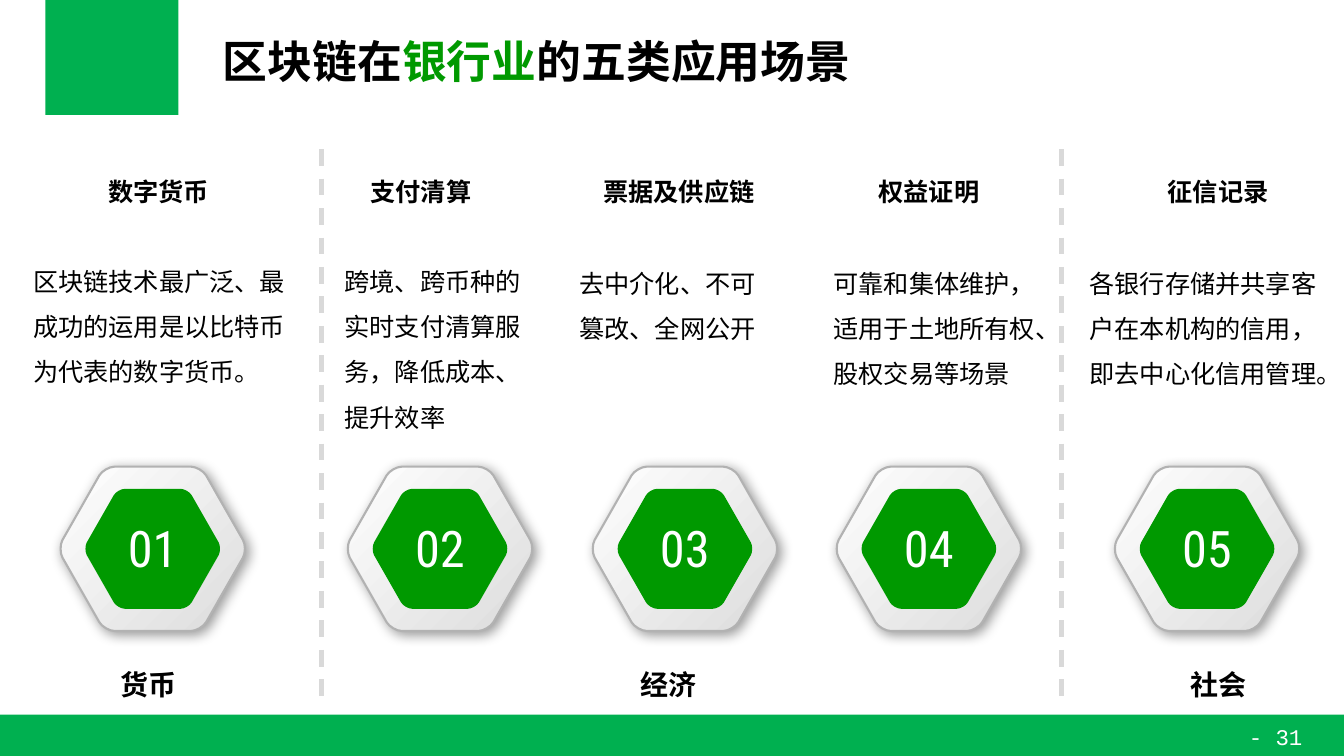
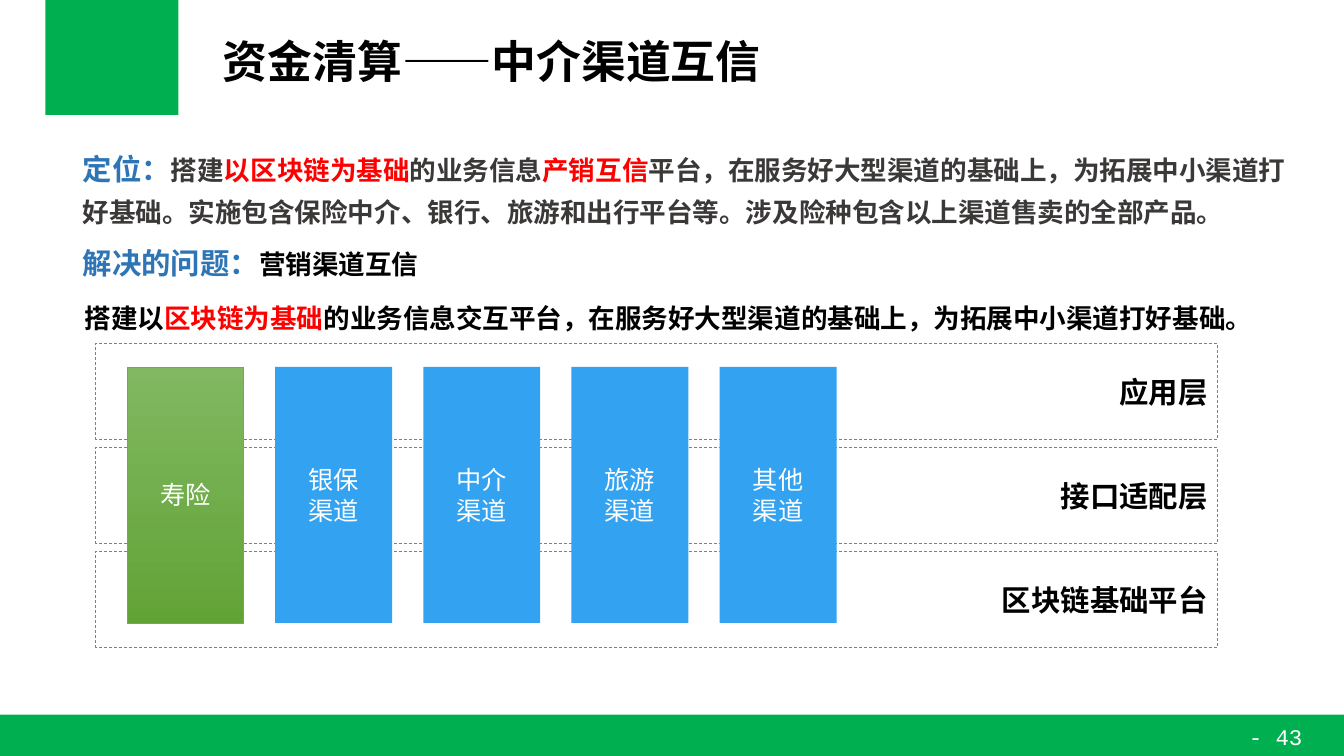
from typing import NamedTuple

from lxml.etree import SubElement
from pptx import Presentation
from pptx.dml.color import RGBColor
from pptx.enum.dml import MSO_LINE
from pptx.enum.shapes import MSO_CONNECTOR, MSO_SHAPE
from pptx.enum.text import MSO_ANCHOR, PP_ALIGN
from pptx.oxml.ns import qn
from pptx.util import Inches, Pt

COLORS = {
    "band": "00B050", "accent": "009900", "white": "FFFFFF", "black": "000000",
    "silver": "DCDCDC", "rim": "B2B2B2", "divider": "D9D9D9",
    "heading": "2E75B6", "body": "3B3838", "red": "FF0000",
    "layer": "808080", "channel": "32A2F1",
    "green_top": "81B861", "green_bottom": "62A336", "green_line": "70AD47",
}
SANS = "Noto Sans CJK SC"
EAST_ASIAN = "Calibri"
SLIDE_WIDTH, SLIDE_HEIGHT = 40 / 3, 7.5
BADGE_WIDTH, BADGE_HEIGHT, BADGE_TOP = 1.83, 1.63, 4.63


class Span(NamedTuple):
    text: str
    color: str = "black"
    size: float = 18
    bold: bool = True


class Box(NamedTuple):
    left: float
    top: float
    width: float
    height: float

    def emu(self) -> list:
        return [Inches(value) for value in self]


class Scenario(NamedTuple):
    number: str
    heading: str
    heading_left: float
    detail: str
    detail_box: Box
    badge_left: float


SCENARIOS = [
    Scenario("01", "数字货币", 0.72, "区块链技术最广泛、最成功的运用是以比特币为代表的数字货币。",
             Box(0.23, 2.44, 2.71, 1.46), 0.6),
    Scenario("02", "支付清算", 3.32, "跨境、跨币种的实时支付清算服务，降低成本、提升效率",
             Box(3.32, 2.44, 1.96, 1.92), 3.45),
    Scenario("03", "票据及供应链", 5.88, "去中介化、不可篡改、全网公开",
             Box(5.65, 2.46, 1.96, 1.01), 5.88),
    Scenario("04", "权益证明", 8.36, "可靠和集体维护，适用于土地所有权、股权交易等场景",
             Box(8.17, 2.46, 2.35, 1.46), 8.3),
    Scenario("05", "征信记录", 11.23, "各银行存储并共享客户在本机构的信用，即去中心化信用管理。",
             Box(10.71, 2.46, 2.53, 1.46), 11.06),
]
FIELDS = [("货币", 0.72), ("经济", 5.88), ("社会", 11.33)]
DIVIDERS = [3.19, 10.53]

STATEMENTS = [
    (Box(0.69, 1.32, 12.25, 1.01), 1.3, [
        Span("定位：", "heading", 21), Span("搭建", "body", 19),
        Span("以区块链为基础", "red", 19), Span("的业务信息", "body", 19),
        Span("产销互信", "red", 19),
        Span("平台，在服务好大型渠道的基础上，为拓展中小渠道打好基础。实施包含保险中介、"
             "银行、旅游和出行平台等。涉及险种包含以上渠道售卖的全部产品。", "body", 19)]),
    (Box(0.69, 2.26, 12.25, 1.07), 1.3, [
        Span("解决的问题：", "heading", 21), Span("营销渠道互信", size=19)]),
    (Box(0.71, 2.77, 12.23, 0.61), 1.5, [
        Span("搭建以", size=19), Span("区块链为基础", "red", 19),
        Span("的业务信息交互平台，在服务好大型渠道的基础上，为拓展中小渠道打好基础。", size=19)]),
]
LAYERS = ["应用层", "接口适配层", "区块链基础平台"]
CHANNELS = [["寿险"], ["银保", "渠道"], ["中介", "渠道"], ["旅游", "渠道"], ["其他", "渠道"]]


def rgb(name: str) -> RGBColor:
    return RGBColor.from_string(COLORS[name])


def write(paragraph, spans: list[Span], font: str, align=PP_ALIGN.LEFT,
          spacing: float = 1.0, east_asian: str = EAST_ASIAN) -> None:
    paragraph.alignment = align
    paragraph.line_spacing = spacing
    for span in spans:
        run = paragraph.add_run()
        run.text = span.text
        run.font.name = font
        run.font.size = Pt(span.size)
        run.font.bold = span.bold
        run.font.color.rgb = rgb(span.color)
        properties = run.font._element
        properties.set("lang", "zh-CN")
        latin = properties.find(qn("a:latin"))
        latin.addnext(properties.makeelement(qn("a:ea"), {"typeface": east_asian}))


def add_text(shapes, box: Box, spans: list[Span], font: str = "Calibri",
             align=PP_ALIGN.LEFT, spacing: float = 1.0, inset: tuple = (0.1, 0.05)) -> None:
    frame = shapes.add_textbox(*box.emu()).text_frame
    frame.word_wrap = True
    frame.margin_left = frame.margin_right = Inches(inset[0])
    frame.margin_top = frame.margin_bottom = Inches(inset[1])
    write(frame.paragraphs[0], spans, font, align, spacing)


def add_rect(slide, box: Box, fill: str | None):
    rect = slide.shapes.add_shape(MSO_SHAPE.RECTANGLE, *box.emu())
    rect.shadow.inherit = False
    if fill:
        rect.fill.solid()
        rect.fill.fore_color.rgb = rgb(fill)
    else:
        rect.fill.background()
    rect.line.fill.background()
    rect.text_frame.vertical_anchor = MSO_ANCHOR.MIDDLE
    return rect


def set_gradient(shape, start: str, end: str, angle: float) -> None:
    shape.fill.gradient()
    shape.fill.gradient_angle = angle
    for stop, color in zip(shape.fill.gradient_stops, (start, end)):
        stop.color.rgb = rgb(color)


def set_shadow(shape) -> None:
    shape.shadow.inherit = False
    effects = shape._element.spPr.find(qn("a:effectLst"))
    shadow = SubElement(effects, qn("a:outerShdw"), blurRad=str(Pt(9)), dist=str(Pt(3)),
                        dir="2700000", algn="tl", rotWithShape="0")
    color = SubElement(shadow, qn("a:srgbClr"), val=COLORS["black"])
    SubElement(color, qn("a:alpha"), val="40000")


def rounded_hexagon(scale: float) -> list[tuple[float, float]]:
    """Four points per corner: curve start, two control points, curve end."""
    corners = [(0.48, -0.815), (0.945, 0), (0.48, 0.815),
               (-0.48, 0.815), (-0.945, 0), (-0.48, -0.815)]
    trim = 0.1
    points = []
    for i, (x, y) in enumerate(corners):
        before, after = corners[i - 1], corners[(i + 1) % 6]
        for (nx, ny), cut in ((before, trim), (before, trim / 2), (after, trim / 2), (after, trim)):
            share = cut / ((nx - x) ** 2 + (ny - y) ** 2) ** 0.5
            points.append(((x + (nx - x) * share) * scale, (y + (ny - y) * share) * scale))
    return points


def add_hexagon(group, center_x: float, center_y: float, scale: float):
    points = [(Inches(center_x + x), Inches(center_y + y)) for x, y in rounded_hexagon(scale)]
    builder = group.shapes.build_freeform(*points[-1])
    builder.add_line_segments(points, close=True)
    hexagon = builder.convert_to_shape()
    # Turn the last three segments of each corner into one curve
    segments = list(hexagon._element.iter(qn("a:lnTo")))
    for i in range(0, len(segments), 4):
        corner = segments[i + 1:i + 4]
        curve = corner[0].makeelement(qn("a:cubicBezTo"), {})
        segments[i].addnext(curve)
        for segment in corner:
            curve.append(segment[0])
            segment.getparent().remove(segment)
    return hexagon


def add_badge(slide, left: float, number: str) -> None:
    group = slide.shapes.add_group_shape()
    center = (left + BADGE_WIDTH / 2, BADGE_TOP + BADGE_HEIGHT / 2)
    rim = add_hexagon(group, *center, 1.0)
    set_gradient(rim, "white", "silver", 315)
    rim.line.color.rgb = rgb("rim")
    rim.line.width = Pt(1.5)
    set_shadow(rim)

    core = add_hexagon(group, *center, 0.73)
    core.shadow.inherit = False
    core.fill.solid()
    core.fill.fore_color.rgb = rgb("accent")
    core.line.fill.background()
    add_text(group.shapes, Box(center[0] - 0.38, 5.08, 0.76, 0.71),
             [Span(number, "white", 36, False)], "Roboto Condensed", PP_ALIGN.CENTER)


def new_slide(prs, title_spans: list[Span], page: int, title_east_asian: str = "Arial"):
    slide = prs.slides.add_slide(prs.slide_layouts[5])
    # Corner block, footer band and page number
    add_rect(slide, Box(0.45, 0, 1.32, 1.14), "band")
    add_rect(slide, Box(0, 7.09, SLIDE_WIDTH, 0.42), "band")
    add_text(slide.shapes, Box(12.18, 7.12, 0.95, 0.37),
             [Span(f"- {page} -", "white", 16, False)], "Courier New", PP_ALIGN.CENTER)
    # Title
    title = slide.shapes.title
    title.left, title.top, title.width, title.height = Box(2.11, 0.24, 10.49, 0.78).emu()
    title.text_frame.vertical_anchor = MSO_ANCHOR.MIDDLE
    write(title.text_frame.paragraphs[0], title_spans, "Arial", spacing=0.9,
          east_asian=title_east_asian)
    return slide


def build_scenarios(prs) -> None:
    slide = new_slide(prs, [Span("区块链在", size=32), Span("银行业", "accent", 32),
                            Span("的五类应用场景", size=32)], 31)
    # Dashed dividers between fields
    for x in DIVIDERS:
        divider = slide.shapes.add_connector(MSO_CONNECTOR.STRAIGHT, Inches(x), Inches(1.48),
                                             Inches(x), Inches(6.94))
        divider.line.color.rgb = rgb("divider")
        divider.line.width = Pt(3)
        divider.line.dash_style = MSO_LINE.DASH
        SubElement(divider._element.spPr, qn("a:effectLst"))
    # Scenario columns
    for scenario in SCENARIOS:
        add_text(slide.shapes, Box(scenario.heading_left, 1.7, 1.71, 0.4),
                 [Span(scenario.heading)], align=PP_ALIGN.CENTER)
        add_text(slide.shapes, scenario.detail_box, [Span(scenario.detail, bold=False)],
                 spacing=1.5)
        add_badge(slide, scenario.badge_left, scenario.number)
    # Field names
    for field, left in FIELDS:
        add_text(slide.shapes, Box(left, 6.57, 1.51, 0.44), [Span(field, size=20)],
                 align=PP_ALIGN.CENTER)


def build_clearing(prs) -> None:
    slide = new_slide(prs, [Span("资金清算——中介渠道互信", size=32)], 43, SANS)
    for box, spacing, spans in STATEMENTS:
        add_text(slide.shapes, box, spans, SANS, spacing=spacing, inset=(0.13, 0.07))
    # Platform layers
    for row, name in enumerate(LAYERS):
        layer = add_rect(slide, Box(0.95, 3.41 + row * 1.03, 11.13, 0.95), None)
        layer.line.color.rgb = rgb("layer")
        layer.line.width = Pt(0.5)
        layer.line.dash_style = MSO_LINE.DASH
        write(layer.text_frame.paragraphs[0], [Span(name, size=21)], SANS, PP_ALIGN.RIGHT)
    # Channels crossing every layer
    for column, lines in enumerate(CHANNELS):
        channel = add_rect(slide, Box(1.26 + column * 1.47, 3.64, 1.16, 2.54), "channel")
        if column == 0:
            set_gradient(channel, "green_top", "green_bottom", 270)
            channel.line.color.rgb = rgb("green_line")
            channel.line.width = Pt(0.5)
        frame = channel.text_frame
        for i, line in enumerate(lines):
            paragraph = frame.add_paragraph() if i else frame.paragraphs[0]
            write(paragraph, [Span(line, "white", 18, False)], SANS, PP_ALIGN.CENTER)


def main() -> None:
    prs = Presentation()
    prs.slide_width, prs.slide_height = Inches(SLIDE_WIDTH), Inches(SLIDE_HEIGHT)
    build_scenarios(prs)
    build_clearing(prs)
    prs.save("out.pptx")


if __name__ == "__main__":
    main()
